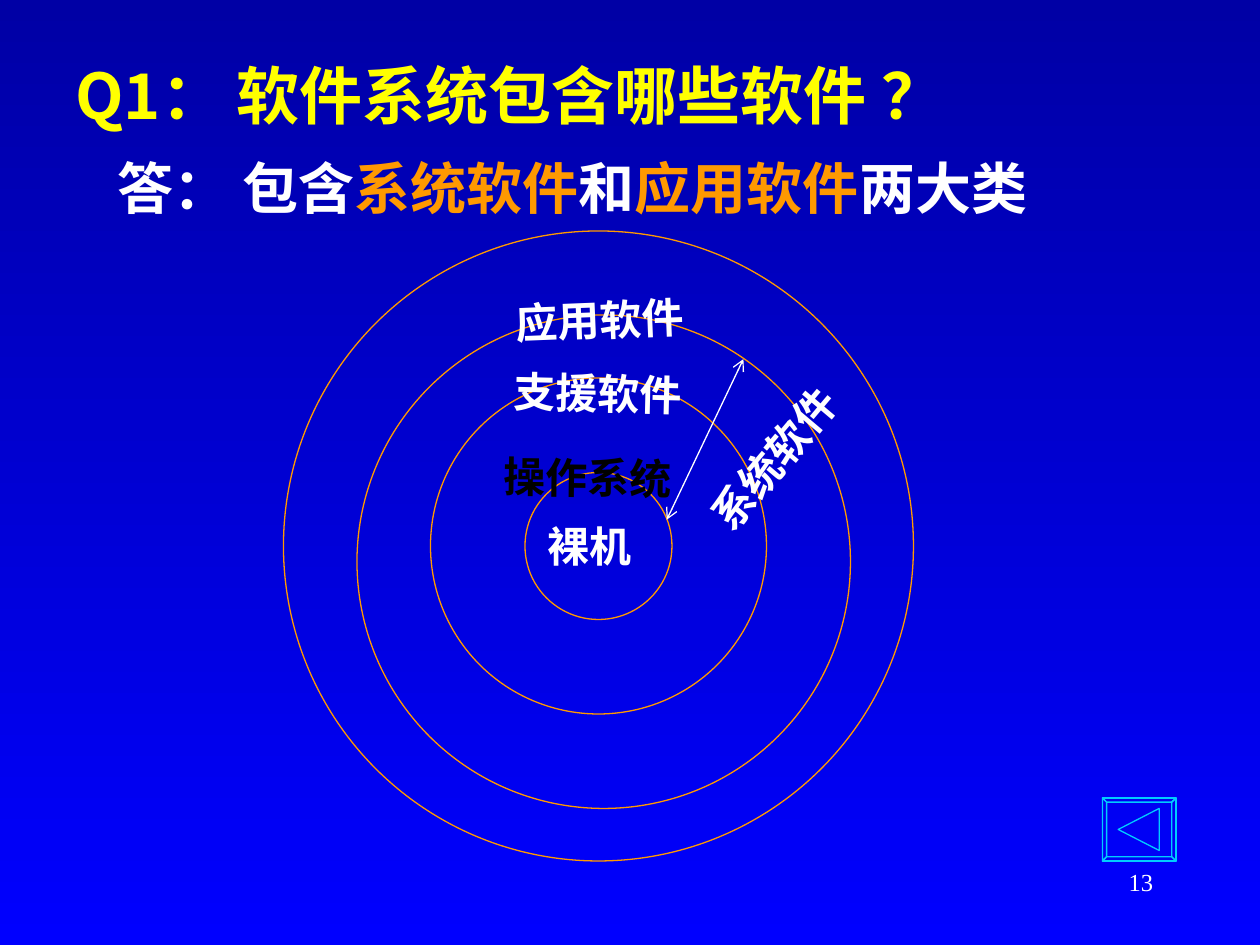
from lxml import etree
from pptx import Presentation
from pptx.dml.color import RGBColor
from pptx.enum.shapes import MSO_CONNECTOR, MSO_SHAPE
from pptx.enum.text import MSO_ANCHOR, PP_ALIGN
from pptx.oxml.ns import qn
from pptx.util import Inches, Pt

OVAL, STRAIGHT = MSO_SHAPE.OVAL, MSO_CONNECTOR.STRAIGHT
TOP, MIDDLE = MSO_ANCHOR.TOP, MSO_ANCHOR.MIDDLE
LEFT, CENTER, RIGHT = PP_ALIGN.LEFT, PP_ALIGN.CENTER, PP_ALIGN.RIGHT


class Theme:
    sans, serif = "Noto Sans CJK SC", "Times New Roman"
    sky_top, sky_bottom = RGBColor(0, 0, 0xA5), RGBColor(0, 0, 0xFF)
    white, black = RGBColor(0xFF, 0xFF, 0xFF), RGBColor(0, 0, 0)
    yellow, orange = RGBColor(0xFF, 0xFF, 0), RGBColor(0xFF, 0x99, 0)
    cyan = RGBColor(0, 0xCC, 0xFF)
    title, title_gap, answer, label, number = Pt(36), Pt(32), Pt(32), Pt(24), Pt(14)
    hairline = Pt(0.75)


# The page is a grid of 120 columns and 90 rows.
CELL = Inches(10) // 120


def grid(*cells):
    return [round(cell * CELL) for cell in cells]


def add_text(place, spans, size, color, font=Theme.sans, bold=True, align=LEFT,
             anchor=TOP, turn=0, spacing=None):
    """Add one paragraph; a span is (text, own colour or None, own size or None)."""
    box = page.shapes.add_textbox(*grid(*place))
    box.rotation = turn
    frame = box.text_frame
    frame.word_wrap, frame.vertical_anchor = True, anchor
    para = frame.paragraphs[0]
    para.alignment, para.line_spacing = align, spacing
    para.font.size, para.font.bold, para.font.name = size, bold, font
    para.font.color.rgb = color
    east_asian = etree.Element(qn("a:ea"), typeface=Theme.sans)
    para._p.pPr.find(qn("a:defRPr")).find(qn("a:latin")).addnext(east_asian)
    for text, own_color, own_size in spans:
        span = para.add_run()
        span.text = text
        if own_color is not None:
            span.font.color.rgb = own_color
        if own_size is not None:
            span.font.size = own_size


deck = Presentation()
deck.slide_width, deck.slide_height = grid(120, 90)
page = deck.slides.add_slide(deck.slide_layouts[6])
sky = page.background.fill
sky.gradient()
sky.gradient_angle = 270
for stop, color in zip(sky.gradient_stops, (Theme.sky_top, Theme.sky_bottom)):
    stop.color.rgb = color

# Page number, question and answer
add_text((86, 82, 25, 6), [("13", None, None)], Theme.number, Theme.white,
         font=Theme.serif, bold=False, align=RIGHT)
question = [("Q1：", None, None), (" ", None, Theme.title_gap),
            ("软件系统包含哪些软件 ？", None, None)]
add_text((6, 4, 87, 10), question, Theme.title, Theme.yellow, anchor=MIDDLE)
answer = [("答： 包含", None, None), ("系统软件", Theme.orange, None), ("和", None, None),
          ("应用软件", Theme.orange, None), ("两大类", None, None)]
add_text((10, 14, 92, 7.7), answer, Theme.answer, Theme.white)

# Rings of software around the bare machine
for left, top, diameter in ((50, 45, 14), (41, 36, 32), (34, 30, 47), (27, 22, 60)):
    ring = page.shapes.add_shape(OVAL, *grid(left, top, diameter, diameter))
    ring.shadow.inherit = False
    ring.fill.background()
    ring.line.color.rgb, ring.line.width = Theme.orange, Theme.hairline

# Span of the system software
arrow = page.shapes.add_connector(STRAIGHT, *grid(63.5, 49.5, 70.8, 34.2))
arrow.line.color.rgb, arrow.line.width = Theme.white, Theme.hairline
for end in ("a:headEnd", "a:tailEnd"):
    etree.SubElement(arrow.line._get_or_add_ln(), qn(end), type="arrow")
etree.SubElement(arrow._element.spPr, qn("a:effectLst"))

for text, place, turn in (("裸机", (51, 49, 12, 6), 0),
                          ("系统软件", (64.4, 40.4, 19, 6), 310.2)):
    add_text(place, [(text, None, None)], Theme.label, Theme.white,
             font=Theme.serif, turn=turn)

for text, place, turn, color in (("操作系统", (46.5, 41, 19, 4), 0.7, Theme.black),
                                 ("支援软件", (47.5, 33, 19, 3), 1.3, Theme.white),
                                 ("应用软件", (47.5, 26, 19, 4), 357.7, Theme.white)):
    add_text(place, [(text, None, None)], Theme.label, color, align=CENTER,
             turn=turn, spacing=1.3)

# Bevelled back button
left, top, right, bottom, bevel = 105, 76, 112, 82, 0.4
outer = [(left, top), (right, top), (right, bottom), (left, bottom)]
inner = [(left + bevel, top + bevel), (right - bevel, top + bevel),
         (right - bevel, bottom - bevel), (left + bevel, bottom - bevel)]
faces = [[outer[i - 1], outer[i], inner[i], inner[i - 1]] for i in range(4)]
triangle = [(106.5, 79), (110.4, 77), (110.4, 81)]
builder = page.shapes.build_freeform(*grid(*outer[0]))
builder.add_line_segments([grid(*point) for point in outer[1:]])
for outline in faces + [triangle]:
    builder.move_to(*grid(*outline[0]))
    builder.add_line_segments([grid(*point) for point in outline[1:]])
button = builder.convert_to_shape()
button.shadow.inherit = False
button.fill.background()
button.line.color.rgb, button.line.width = Theme.cyan, Theme.hairline

deck.save("out.pptx")
